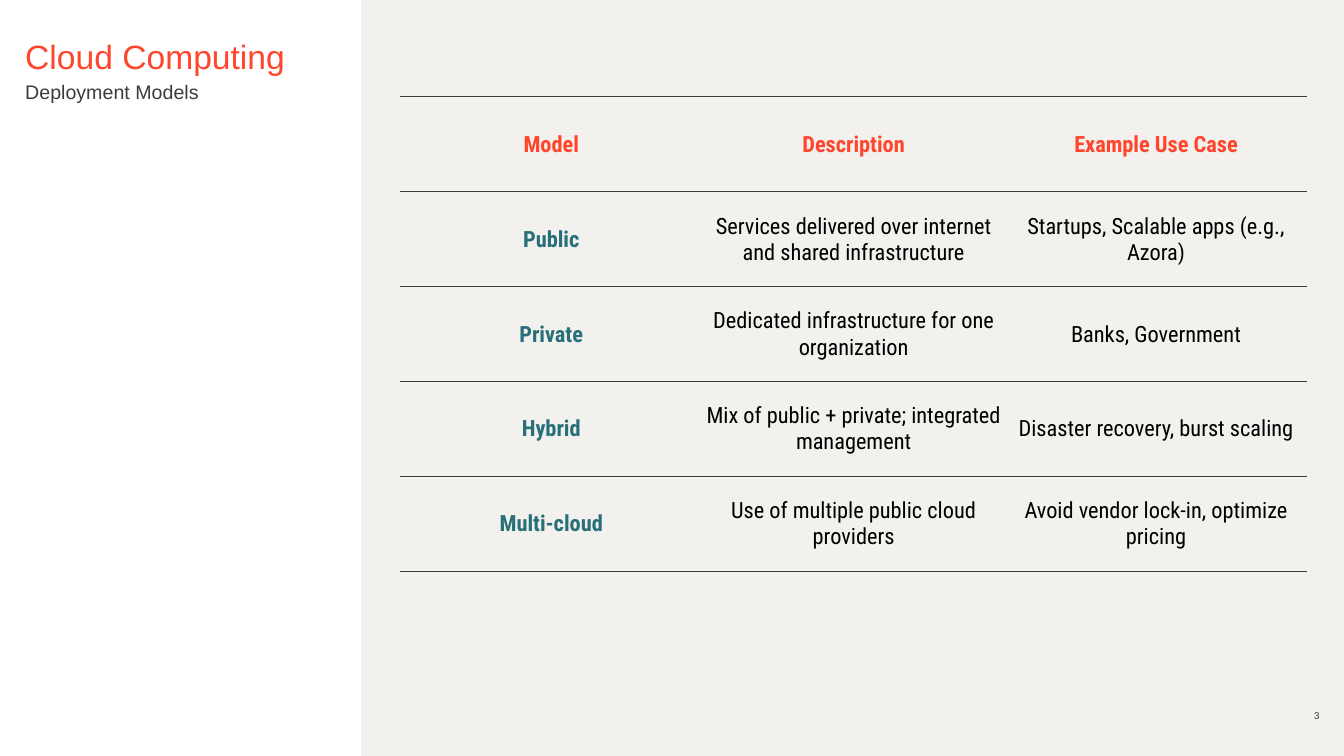
from dataclasses import dataclass

from lxml.etree import SubElement
from pptx import Presentation
from pptx.dml.color import RGBColor
from pptx.enum.shapes import MSO_SHAPE
from pptx.enum.text import MSO_ANCHOR, MSO_AUTO_SIZE, PP_ALIGN
from pptx.oxml.ns import qn
from pptx.util import Pt


@dataclass(frozen=True)
class Theme:
    panel: str = "F2F1EE"
    accent: str = "FF462D"
    teal: str = "287079"
    ink: str = "3D3B3B"
    black: str = "000000"
    sans: str = "Arial"
    narrow: str = "Roboto Condensed"
    title: float = 24
    sub: float = 14
    cell: float = 16
    page: float = 7
    rule: float = 0.75


ROWS = [
    ("Model", "Description", "Example Use Case"),
    ("Public", "Services delivered over internet and shared infrastructure",
     "Startups, Scalable apps (e.g., Azora)"),
    ("Private", "Dedicated infrastructure for one organization", "Banks, Government"),
    ("Hybrid", "Mix of public + private; integrated management",
     "Disaster recovery, burst scaling"),
    ("Multi-cloud", "Use of multiple public cloud providers",
     "Avoid vendor lock-in, optimize pricing"),
]


def write(frame, text, *, size, color, font, bold=False, align=PP_ALIGN.LEFT):
    para = frame.paragraphs[0]
    para.alignment = align
    run = para.add_run()
    run.text = text
    run.font.size = Pt(size)
    run.font.name = font
    run.font.bold = bold
    run.font.color.rgb = RGBColor.from_string(color)


def inset(item, left=0, top=0, right=0, bottom=0):
    item.margin_left, item.margin_top = Pt(left), Pt(top)
    item.margin_right, item.margin_bottom = Pt(right), Pt(bottom)


class Page:
    def __init__(self, deck, theme):
        self.theme = theme
        self.slide = deck.slides.add_slide(deck.slide_layouts[5])

    def panel(self, *box):
        shape = self.slide.shapes.add_shape(MSO_SHAPE.RECTANGLE, *map(Pt, box))
        shape.shadow.inherit = False
        shape.fill.solid()
        shape.fill.fore_color.rgb = RGBColor.from_string(self.theme.panel)
        shape.line.fill.background()

    def fit(self, shape, text, top=0, anchor=MSO_ANCHOR.TOP, **style):
        frame = shape.text_frame
        frame.word_wrap = True
        frame.auto_size = MSO_AUTO_SIZE.NONE
        frame.vertical_anchor = anchor
        inset(frame, top=top)
        write(frame, text, font=self.theme.sans, **style)

    def title(self, text, *box):
        shape = self.slide.shapes.title
        shape.left, shape.top, shape.width, shape.height = map(Pt, box)
        self.fit(shape, text, top=2.5, size=self.theme.title, color=self.theme.accent)

    def label(self, text, *box, **style):
        self.fit(self.slide.shapes.add_textbox(*map(Pt, box)), text, **style)

    def edges(self, cell):
        """Rule a cell above and below, and leave its sides open."""
        props = cell._tc.get_or_add_tcPr()
        for side in ("lnL", "lnR"):
            SubElement(SubElement(props, qn(f"a:{side}")), qn("a:noFill"))
        for side in ("lnT", "lnB"):
            line = SubElement(props, qn(f"a:{side}"), w=str(Pt(self.theme.rule)))
            fill = SubElement(line, qn("a:solidFill"))
            SubElement(fill, qn("a:srgbClr"), val=self.theme.ink)

    def table(self, rows, *box):
        theme = self.theme
        grid = self.slide.shapes.add_table(len(rows), len(rows[0]), *map(Pt, box)).table
        grid.first_row = grid.horz_banding = False
        for r, row in enumerate(rows):
            for c, text in enumerate(row):
                cell = grid.cell(r, c)
                self.edges(cell)
                cell.fill.background()
                cell.vertical_anchor = MSO_ANCHOR.MIDDLE
                inset(cell, 0.75, 0.75, 0.75)
                color = theme.accent if r == 0 else theme.teal if c == 0 else theme.black
                write(cell.text_frame, text, size=theme.cell, color=color,
                      font=theme.narrow, bold=r == 0 or c == 0, align=PP_ALIGN.CENTER)


def main():
    deck = Presentation()
    deck.slide_width, deck.slide_height = Pt(960), Pt(540)
    theme = Theme()
    page = Page(deck, theme)
    page.panel(258, 0, 702, 540)
    page.title("Cloud Computing", 18, 23, 222, 22.5)
    page.label("Deployment Models", 18, 56, 222, 24.5, top=1,
               size=theme.sub, color=theme.ink)
    page.table(ROWS, 285.75, 69, 648, 339)
    page.label("3", 922.5, 497.5, 20, 17.5, anchor=MSO_ANCHOR.BOTTOM,
               size=theme.page, color=theme.ink, align=PP_ALIGN.RIGHT)
    deck.save("out.pptx")


if __name__ == "__main__":
    main()
